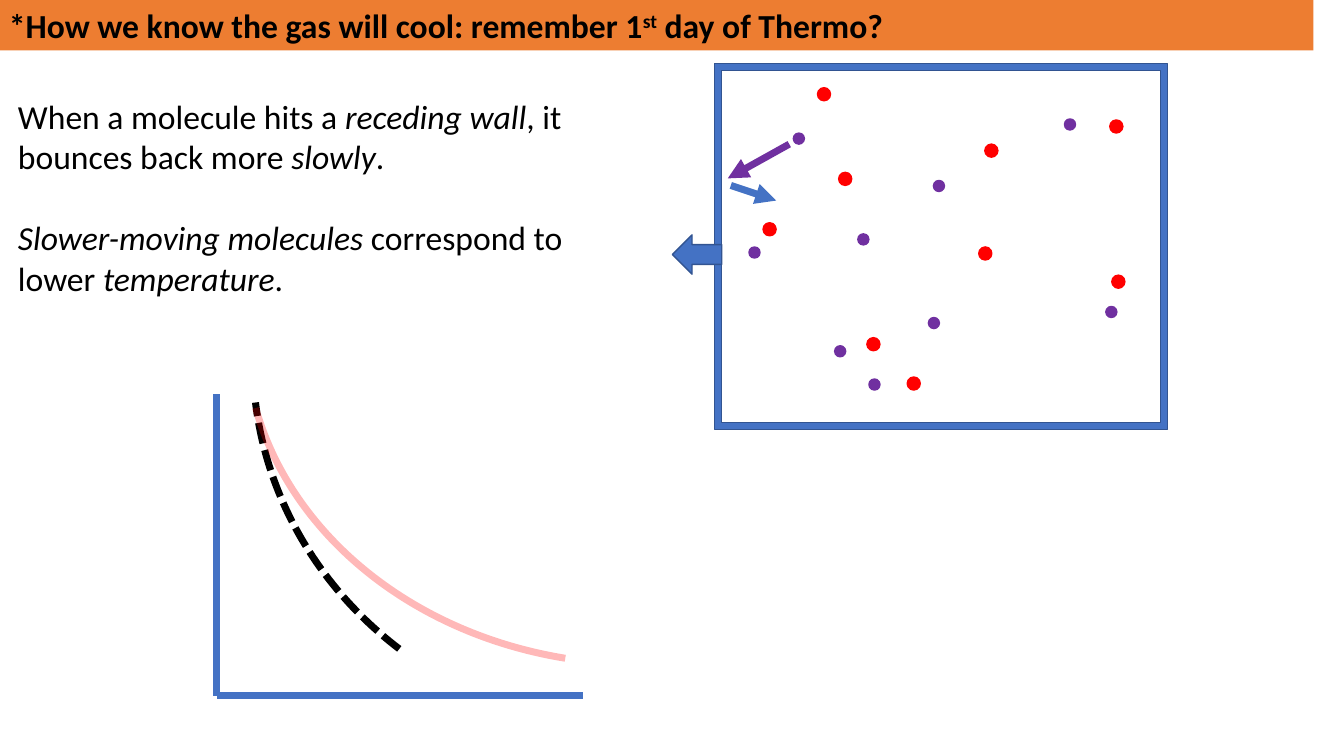
from dataclasses import dataclass
from typing import Optional

from lxml import etree
from pptx import Presentation
from pptx.dml.color import RGBColor
from pptx.enum.dml import MSO_LINE
from pptx.enum.shapes import MSO_CONNECTOR, MSO_SHAPE
from pptx.enum.text import MSO_ANCHOR, MSO_AUTO_SIZE, PP_ALIGN
from pptx.oxml.ns import qn
from pptx.util import Inches, Pt

RECT, FRAME, OVAL = MSO_SHAPE.RECTANGLE, MSO_SHAPE.FRAME, MSO_SHAPE.OVAL
LEFT_ARROW, ARC = MSO_SHAPE.LEFT_ARROW, MSO_SHAPE.ARC
STRAIGHT, DASH = MSO_CONNECTOR.STRAIGHT, MSO_LINE.SQUARE_DOT
LEFT, MIDDLE, TOP = PP_ALIGN.LEFT, MSO_ANCHOR.MIDDLE, MSO_ANCHOR.TOP
GROW = MSO_AUTO_SIZE.SHAPE_TO_FIT_TEXT

# Grid of square cells: 133.33 columns by 75 rows
CELL = Inches(0.1)
COLS, ROWS = 133.33, 75


@dataclass(frozen=True)
class Theme:
    font: str = "Calibri"
    size: int = 24
    gap: float = 29.3
    thin: int = 1
    thick: int = 5
    text: str = "000000"
    banner: str = "ED7D31"
    blue: str = "4472C4"
    edge: str = "325491"
    purple: str = "7030A0"
    red: str = "FF0000"


@dataclass(frozen=True)
class Box:
    col: float
    row: float
    cols: float
    rows: float


@dataclass(frozen=True)
class Span:
    text: str
    italic: bool = False
    bold: bool = False
    baseline: int = 0


@dataclass(frozen=True)
class Gas:
    color: str
    size: float
    spots: tuple


@dataclass(frozen=True)
class Line:
    start: tuple
    end: tuple
    color: str
    arrow: bool = False


@dataclass(frozen=True)
class Curve:
    box: Box
    angles: tuple
    color: str
    dash: bool = False
    alpha: Optional[int] = None


T = Theme()

TITLE = [[Span("*How we know the gas will cool: remember 1", bold=True),
          Span("st", bold=True, baseline=30000),
          Span(" day of Thermo?", bold=True)]]
BODY = [
    [Span("When a molecule hits a "), Span("receding wall", True),
     Span(", it bounces back more "), Span("slowly", True), Span(".")],
    [Span("Slower-moving molecules", True), Span(" correspond to lower "),
     Span("temperature", True), Span(".")],
]
GASES = [
    Gas(T.purple, 1.1, ((78.7, 13.2), (82.8, 34.3), (92.6, 17.9), (85.1, 23.2), (105.6, 11.8),
                        (92.1, 31.5), (74.3, 24.5), (109.7, 30.4), (86.2, 37.6))),
    Gas(T.red, 1.3, ((81.1, 8.7), (86, 33.5), (97.7, 14.3), (83.2, 17.1), (110.1, 11.9),
                     (97.1, 24.5), (75.7, 22.1), (110.3, 27.3), (90, 37.4))),
]
VELOCITIES = [
    Line((78.3, 14.3), (72.2, 17.7), T.purple, arrow=True),
    Line((72.5, 18.4), (77, 19.9), T.blue, arrow=True),
]
ORIGIN = (21.5, 69)
AXES = [Line((21.5, 39.1), ORIGIN, T.blue), Line((57.8, 69), ORIGIN, T.blue)]
ADIABAT = Curve(Box(25.1, -1.1, 78.4, 73.7), (78.46, 104.32), T.text, dash=True)
ISOTHERM = Curve(Box(24.3, -0.3, 78.4, 66.2), (61.71, 101.17), T.red, alpha=28)


def cells(*values: float) -> list:
    return [round(v * CELL) for v in values]


def rgb(color: str) -> RGBColor:
    return RGBColor.from_string(color)


def add_block(shapes, kind, box: Box, fill: Optional[str], edge: Optional[str],
              weight: float = T.thin, adj: tuple = ()):
    s = shapes.add_shape(kind, *cells(box.col, box.row, box.cols, box.rows))
    s.shadow.inherit = False
    for i, value in enumerate(adj):
        s.adjustments[i] = value
    if fill:
        s.fill.solid()
        s.fill.fore_color.rgb = rgb(fill)
    else:
        s.fill.background()
    if edge:
        s.line.color.rgb = rgb(edge)
        s.line.width = Pt(weight)
    else:
        s.line.fill.background()
    return s


def add_line(shapes, line: Line) -> None:
    s = shapes.add_connector(STRAIGHT, *cells(*line.start, *line.end))
    s.line.color.rgb = rgb(line.color)
    s.line.width = Pt(T.thick)
    if line.arrow:
        etree.SubElement(s.line._get_or_add_ln(), qn("a:tailEnd"), type="triangle")
    etree.SubElement(s._element.spPr, qn("a:effectLst"))


def add_curve(shapes, curve: Curve) -> None:
    s = add_block(shapes, ARC, curve.box, None, curve.color, T.thick, curve.angles)
    if curve.dash:
        s.line.dash_style = DASH
    if curve.alpha:
        color = s.line._get_or_add_ln().find(".//" + qn("a:srgbClr"))
        etree.SubElement(color, qn("a:alpha"), val=str(curve.alpha * 1000))


def write(s, paragraphs: list, anchor) -> None:
    tf = s.text_frame
    tf.word_wrap = True
    tf.auto_size = GROW
    tf.vertical_anchor = anchor
    for i, spans in enumerate(paragraphs):
        p = tf.add_paragraph() if i else tf.paragraphs[0]
        p.alignment = LEFT
        if i:
            p.space_before = Pt(T.gap)
        for span in spans:
            r = p.add_run()
            r.text = span.text
            r.font.name, r.font.size = T.font, Pt(T.size)
            r.font.bold, r.font.italic = span.bold, span.italic
            r.font.color.rgb = rgb(T.text)
            if span.baseline:
                r._r.get_or_add_rPr().set("baseline", str(span.baseline))


def main() -> None:
    prs = Presentation()
    prs.slide_width, prs.slide_height = cells(COLS, ROWS)
    shapes = prs.slides.add_slide(prs.slide_layouts[6]).shapes

    # Gas container with its molecules and moving wall
    gas_box = shapes.add_group_shape().shapes
    add_block(gas_box, FRAME, Box(70.9, 6.3, 44.9, 36.3), T.blue, T.edge, adj=(0.019,))
    for gas in GASES:
        for col, row in gas.spots:
            add_block(gas_box, OVAL, Box(col, row, gas.size, gas.size), gas.color, gas.color)
    for velocity in VELOCITIES:
        add_line(gas_box, velocity)
    add_block(gas_box, LEFT_ARROW, Box(66.7, 23.3, 4.9, 3.9), T.blue, T.edge)

    # Explanation and title banner
    write(shapes.add_textbox(*cells(0.8, 9, 64.2, 21.2)), BODY, TOP)
    write(add_block(shapes, RECT, Box(-0.1, 0, 130.4, 5), T.banner, None), TITLE, MIDDLE)

    # Graph
    graph = shapes.add_group_shape().shapes
    add_curve(graph, ADIABAT)
    for axis in AXES:
        add_line(graph, axis)
    add_curve(graph, ISOTHERM)

    prs.save("out.pptx")


if __name__ == "__main__":
    main()
